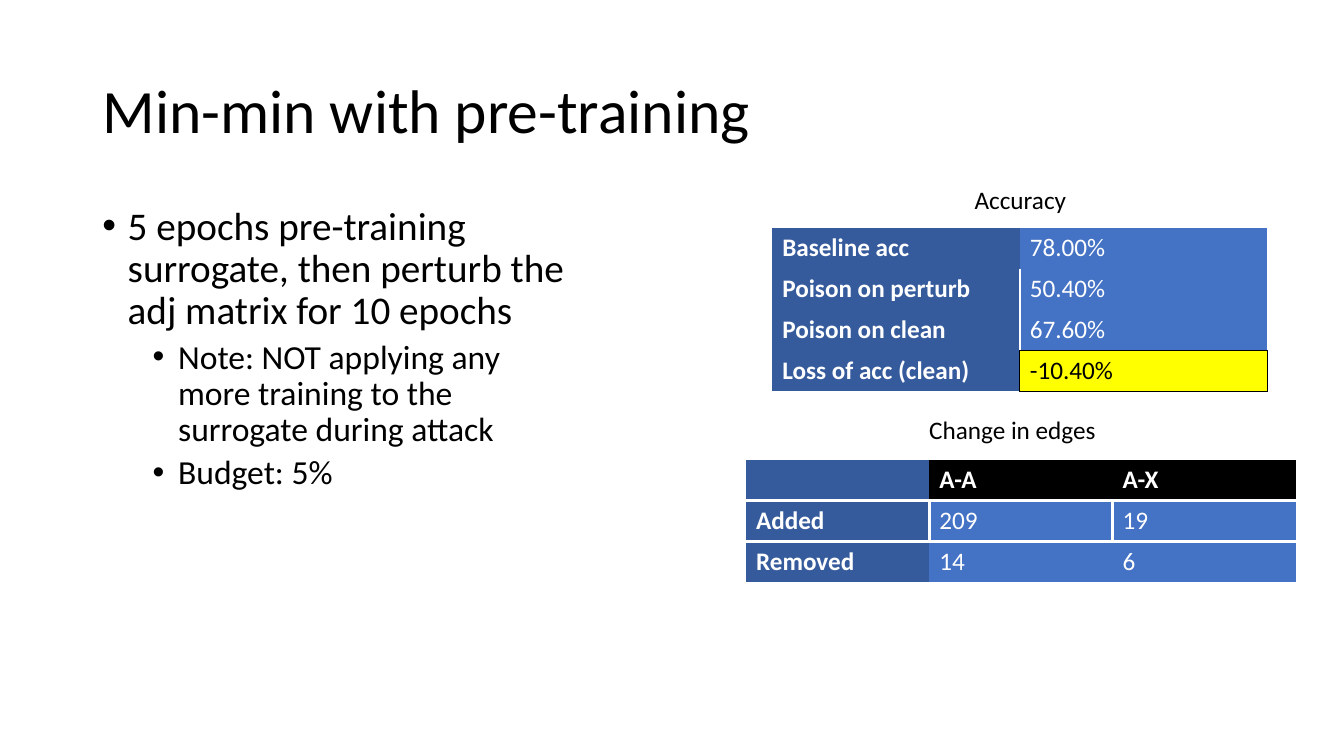
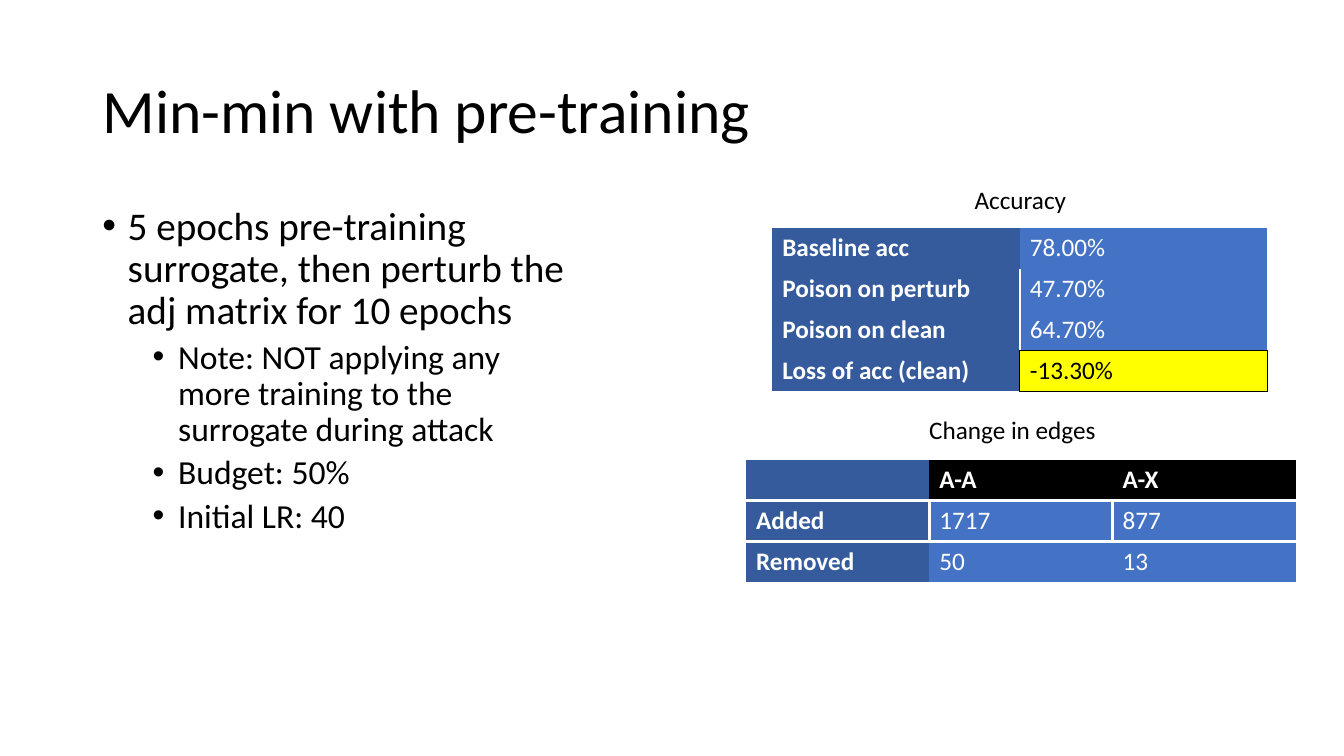
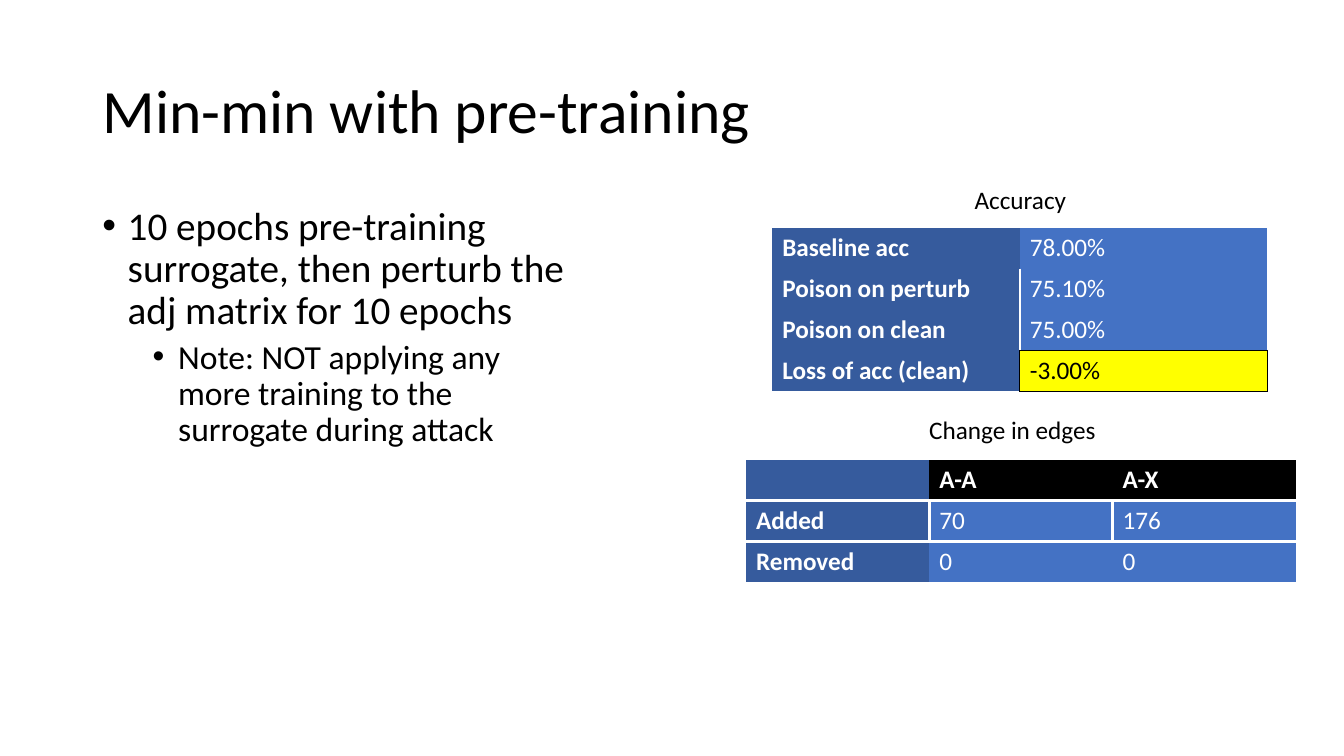
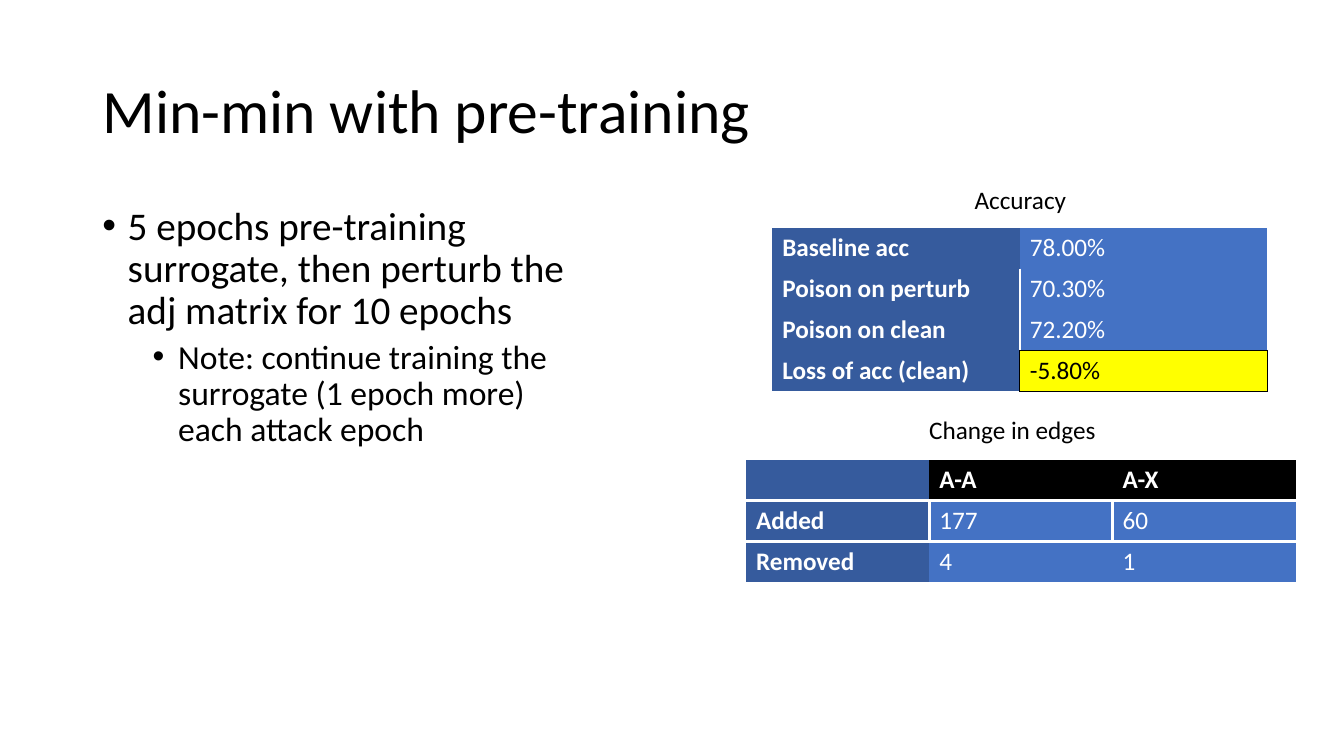
from dataclasses import dataclass
from typing import NamedTuple

from lxml import etree
from pptx import Presentation
from pptx import util as u
from pptx.dml.color import RGBColor
from pptx.enum import text
from pptx.oxml import ns


# Theme
@dataclass(frozen=True)
class Theme:
    font: str = "Calibri"
    black: str = "000000"
    white: str = "FFFFFF"
    dark_blue: str = "365B9D"
    blue: str = "4472C4"
    yellow: str = "FFFF00"
    title_size: int = 44
    bullet_sizes: tuple[int, int] = (28, 24)
    table_size: int = 18
    line_spacing: float = 0.9
    row_height: float = 1.03
    plain_table: str = "{2D5ABB26-0587-4C30-8999-92F81FD0307C}"


THEME = Theme()


class Place(NamedTuple):
    left: float
    top: float
    width: float
    height: float

    def lengths(self) -> list[u.Length]:
        return [u.Cm(value) for value in self]


class Look(NamedTuple):
    fill: str
    ink: str = THEME.white
    bold: bool = False


class Edge(NamedTuple):
    color: str
    points: float


LABEL = Look(THEME.dark_blue, bold=True)
HEADER = Look(THEME.black, bold=True)
VALUE = Look(THEME.blue)
LOSS = Look(THEME.yellow, THEME.black)
DIVIDER = Edge(THEME.white, 2)
OUTLINE = Edge(THEME.black, 1)

Edges = dict[tuple[int, int, str], Edge]


@dataclass(frozen=True)
class Grid:
    caption: str
    caption_place: Place
    left: float
    top: float
    column_width: float
    looks: list[list[Look]]
    edges: Edges


@dataclass(frozen=True)
class Experiment:
    setup: str
    notes: list[str]
    accuracy: list[str]
    added: list[str]
    removed: list[str]


# Positions and table designs
TITLE = "Min-min with pre-training"
TITLE_PLACE = Place(2.33, 1.01, 29.21, 3.68)
BODY_PLACE = Place(2.33, 5.07, 12.5, 12.09)

ACCURACY = Grid(
    "Accuracy", Place(20.98, 4.52, 9.47, 1.03), 19.46, 5.74, 6.24,
    [[LABEL, VALUE]] * 3 + [[LABEL, LOSS]],
    {(1, 0, "R"): DIVIDER, (2, 0, "R"): DIVIDER}
    | {(3, 1, side): OUTLINE for side in "LRTB"},
)
EDGE_CHANGES = Grid(
    "Change in edges", Place(20.78, 10.31, 9.47, 1.03), 18.8, 11.58, 4.62,
    [[LABEL, HEADER, HEADER]] + [[LABEL, VALUE, VALUE]] * 2,
    {(0, column, "B"): DIVIDER for column in range(3)} | {(1, 0, "R"): DIVIDER},
)
ACCURACY_LABELS = ["Baseline acc", "Poison on perturb", "Poison on clean", "Loss of acc (clean)"]

# Experiments
SETUP = "{} epochs pre-training surrogate, then perturb the adj matrix for 10 epochs"
NO_TRAINING = "Note: NOT applying any more training to the surrogate during attack"
EXPERIMENTS = [
    Experiment(SETUP.format(5), [NO_TRAINING, "Budget: 5%"],
               ["78.00%", "50.40%", "67.60%", "-10.40%"], ["209", "19"], ["14", "6"]),
    Experiment(SETUP.format(5), [NO_TRAINING, "Budget: 50%", "Initial LR: 40"],
               ["78.00%", "47.70%", "64.70%", "-13.30%"], ["1717", "877"], ["50", "13"]),
    Experiment(SETUP.format(10), [NO_TRAINING],
               ["78.00%", "75.10%", "75.00%", "-3.00%"], ["70", "176"], ["0", "0"]),
    Experiment(SETUP.format(5),
               ["Note: continue training the surrogate (1 epoch more) each attack epoch"],
               ["78.00%", "70.30%", "72.20%", "-5.80%"], ["177", "60"], ["4", "1"]),
]


# Text
def write(para, words: str, size: int, color: str = THEME.black, bold: bool = False, **layout) -> None:
    span = para.add_run()
    span.text = words
    for name, value in {"name": THEME.font, "size": u.Pt(size), "bold": bold}.items():
        setattr(span.font, name, value)
    span.font.color.rgb = RGBColor.from_string(color)
    for name, value in layout.items():
        setattr(para, name, value)


def add_title(page) -> None:
    box = page.shapes.title
    box.left, box.top, box.width, box.height = TITLE_PLACE.lengths()
    frame_format = {"word_wrap": True, "auto_size": text.MSO_AUTO_SIZE.NONE,
                    "vertical_anchor": text.MSO_ANCHOR.MIDDLE}
    for name, value in frame_format.items():
        setattr(box.text_frame, name, value)
    write(box.text_frame.paragraphs[0], TITLE, THEME.title_size,
          alignment=text.PP_ALIGN.LEFT, line_spacing=THEME.line_spacing)


def add_bullet(para, words: str, level: int) -> None:
    write(para, words, THEME.bullet_sizes[level], level=level,
          line_spacing=THEME.line_spacing, space_before=u.Pt((10, 5)[level]))
    properties = para._p.get_or_add_pPr()
    properties.set("marL", str(u.Cm((0.64, 1.91)[level])))
    properties.set("indent", str(u.Cm(-0.64)))
    etree.SubElement(properties, ns.qn("a:buFont"), typeface="Arial")
    etree.SubElement(properties, ns.qn("a:buChar"), char="•")


def add_body(page, experiment: Experiment) -> None:
    frame = page.shapes.add_textbox(*BODY_PLACE.lengths()).text_frame
    frame.word_wrap = True
    add_bullet(frame.paragraphs[0], experiment.setup, 0)
    for note in experiment.notes:
        add_bullet(frame.add_paragraph(), note, 1)


# Tables
def with_neighbours(edges: Edges) -> Edges:
    """Give each shared edge to the cells on both of its sides."""
    steps = {"L": (0, -1, "R"), "R": (0, 1, "L"), "T": (-1, 0, "B"), "B": (1, 0, "T")}
    shared = dict(edges)
    for (row, column, side), edge in edges.items():
        down, across, opposite = steps[side]
        shared[row + down, column + across, opposite] = edge
    return shared


def add_edge(cell, side: str, edge: Edge) -> None:
    line = etree.SubElement(cell._tc.get_or_add_tcPr(), ns.qn(f"a:ln{side}"),
                            w=str(u.Pt(edge.points)))
    fill = etree.SubElement(line, ns.qn("a:solidFill"))
    etree.SubElement(fill, ns.qn("a:srgbClr"), val=edge.color)


def add_grid(page, grid: Grid, rows: list[list[str]]) -> None:
    columns = len(rows[0])
    place = Place(grid.left, grid.top, columns * grid.column_width, len(rows) * THEME.row_height)
    table = page.shapes.add_table(len(rows), columns, *place.lengths()).table
    table.first_row = table.horz_banding = False
    table._tbl.tblPr.find(ns.qn("a:tableStyleId")).text = THEME.plain_table
    edges = with_neighbours(grid.edges)
    for row, words in enumerate(rows):
        for column, entry in enumerate(words):
            cell, look = table.cell(row, column), grid.looks[row][column]
            for side in "LRTB":
                if (row, column, side) in edges:
                    add_edge(cell, side, edges[row, column, side])
            cell.fill.solid()
            cell.fill.fore_color.rgb = RGBColor.from_string(look.fill)
            write(cell.text_frame.paragraphs[0], entry, THEME.table_size, look.ink, look.bold)

    caption = page.shapes.add_textbox(*grid.caption_place.lengths()).text_frame
    caption.word_wrap = True
    caption.auto_size = text.MSO_AUTO_SIZE.SHAPE_TO_FIT_TEXT
    write(caption.paragraphs[0], grid.caption, THEME.table_size, alignment=text.PP_ALIGN.CENTER)


# Slides
def add_page(deck, experiment: Experiment) -> None:
    page = deck.slides.add_slide(deck.slide_layouts.get_by_name("Title Only"))
    add_title(page)
    add_body(page, experiment)
    add_grid(page, EDGE_CHANGES, [["", "A-A", "A-X"], ["Added", *experiment.added],
                                  ["Removed", *experiment.removed]])
    add_grid(page, ACCURACY, [list(pair) for pair in zip(ACCURACY_LABELS, experiment.accuracy)])


def main() -> None:
    deck = Presentation()
    deck.slide_width, deck.slide_height = u.Cm(33.87), u.Cm(19.05)
    for experiment in EXPERIMENTS:
        add_page(deck, experiment)
    deck.save("out.pptx")


main()
